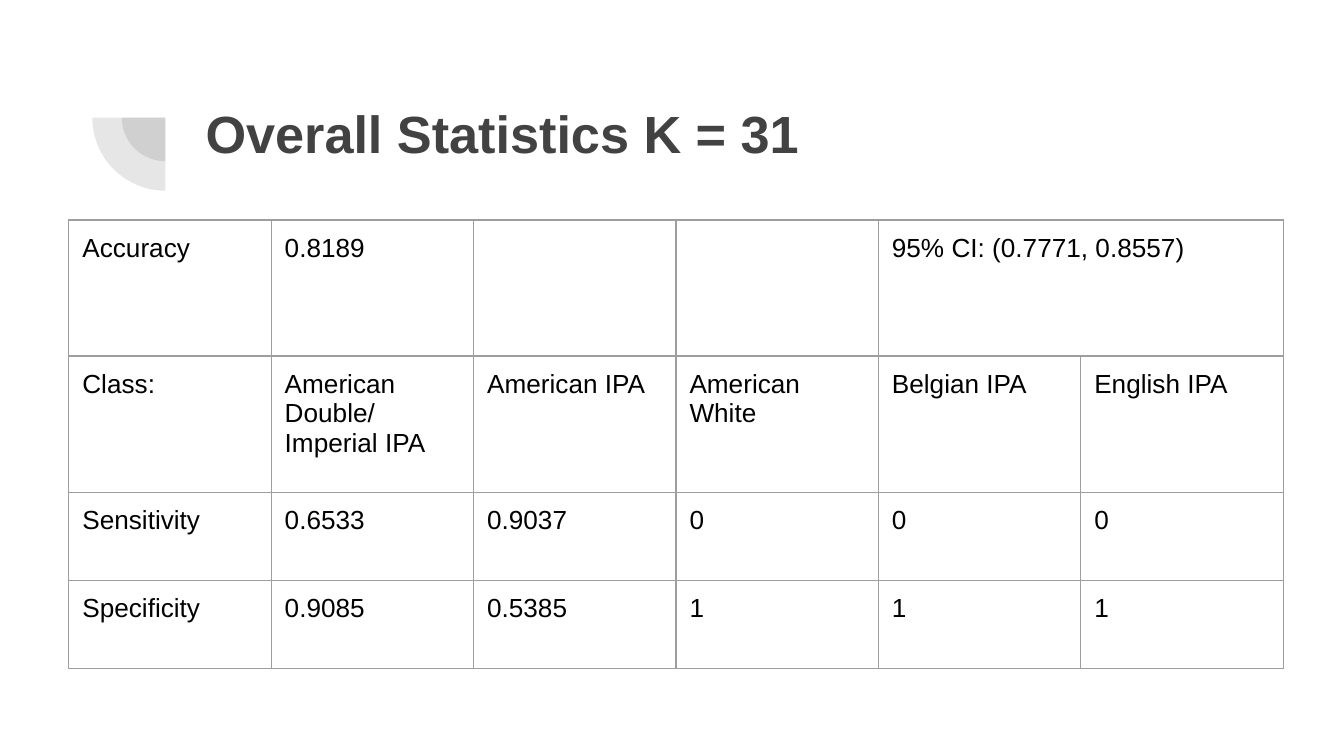
from lxml import etree
from pptx import Presentation
from pptx.dml.color import RGBColor
from pptx.enum.shapes import MSO_SHAPE
from pptx.enum.text import MSO_ANCHOR
from pptx.oxml.ns import qn
from pptx.util import Pt

PIE = MSO_SHAPE.PIE
TOP = MSO_ANCHOR.TOP
EMU_PER_PX = 5715
INSET = 16

STATISTICS = [
    ["Accuracy", "0.8189", "", "", "95% CI: (0.7771, 0.8557)", ""],
    ["Class:", "American Double/ Imperial IPA", "American IPA",
     "American White", "Belgian IPA", "English IPA"],
    ["Sensitivity", "0.6533", "0.9037", "0", "0", "0"],
    ["Specificity", "0.9085", "0.5385", "1", "1", "1"],
]
ROW_HEIGHTS = [162, 162, 105, 105]


def px(length):
    return length * EMU_PER_PX


def color(hex_code):
    return RGBColor.from_string(hex_code)


class StatisticsSlide:
    font = "Arial"
    heading = "424242"
    body = "000000"
    grid = "9E9E9E"

    def __init__(self, slide):
        self.slide = slide

    def style_text(self, frame, size, hex_code, bold=False):
        for paragraph in frame.paragraphs:
            for run in paragraph.runs:
                run.font.name = self.font
                run.font.size = Pt(size)
                run.font.bold = bold
                run.font.color.rgb = color(hex_code)

    def quarter_disc(self, left, top, diameter):
        """Add a translucent lower-left quarter of a disc."""
        disc = self.slide.shapes.add_shape(
            PIE, px(left), px(top), px(diameter), px(diameter))
        disc.shadow.inherit = False
        disc.adjustments[0] = 108
        disc.adjustments[1] = 162
        disc.rotation = 270
        disc.fill.solid()
        disc.fill.fore_color.rgb = color(self.heading)
        disc.line.fill.background()
        tint = disc.fill._xPr.find(qn("a:solidFill"))[0]
        etree.SubElement(tint, qn("a:alpha"), val="13000")

    def title(self, text, left, top, width, height):
        box = self.slide.shapes.add_textbox(
            px(left), px(top), px(width), px(height))
        frame = box.text_frame
        frame.word_wrap = True
        frame.vertical_anchor = TOP
        frame.margin_left = frame.margin_right = px(INSET)
        frame.margin_top = frame.margin_bottom = px(INSET)
        frame.text = text
        self.style_text(frame, 28, self.heading, bold=True)

    def border(self, cell):
        properties = cell._tc.get_or_add_tcPr()
        for position, side in enumerate(("lnL", "lnR", "lnT", "lnB")):
            line = etree.Element(qn(f"a:{side}"), w=str(Pt(0.75)))
            fill = etree.SubElement(line, qn("a:solidFill"))
            etree.SubElement(fill, qn("a:srgbClr"), val=self.grid)
            properties.insert(position, line)

    def table(self, rows, heights, left, top, width):
        """Add a ruled table with equal columns."""
        table = self.slide.shapes.add_table(
            len(rows), len(rows[0]), px(left), px(top),
            px(width), px(sum(heights))).table
        table.first_row = False
        table.horz_banding = False
        for row, height, texts in zip(table.rows, heights, rows):
            row.height = px(height)
            for cell, text in zip(row.cells, texts):
                cell.margin_left = cell.margin_right = px(INSET)
                cell.margin_top = cell.margin_bottom = px(INSET)
                cell.vertical_anchor = TOP
                cell.fill.background()
                self.border(cell)
                if text:
                    cell.text_frame.text = text
                    self.style_text(cell.text_frame, 14, self.body)
        return table


def main():
    deck = Presentation()
    deck.slide_width, deck.slide_height = px(1600), px(900)
    page = StatisticsSlide(deck.slides.add_slide(deck.slide_layouts[6]))
    page.quarter_disc(145, 88, 104)
    page.quarter_disc(110, 53, 174)
    page.title("Overall Statistics K = 31", 229, 104, 1230, 126)
    table = page.table(STATISTICS, ROW_HEIGHTS, 82, 262, 1446)
    table.cell(0, 4).merge(table.cell(0, 5))
    deck.save("out.pptx")


if __name__ == "__main__":
    main()
